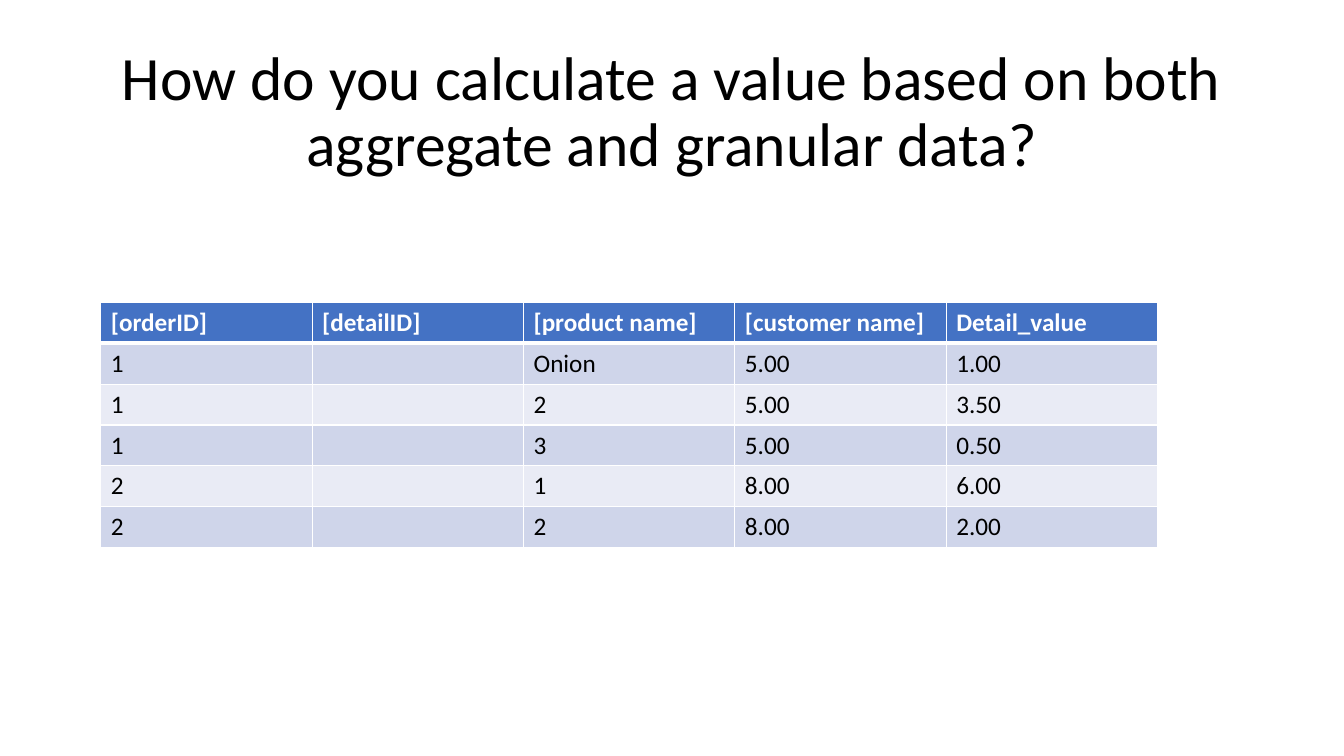
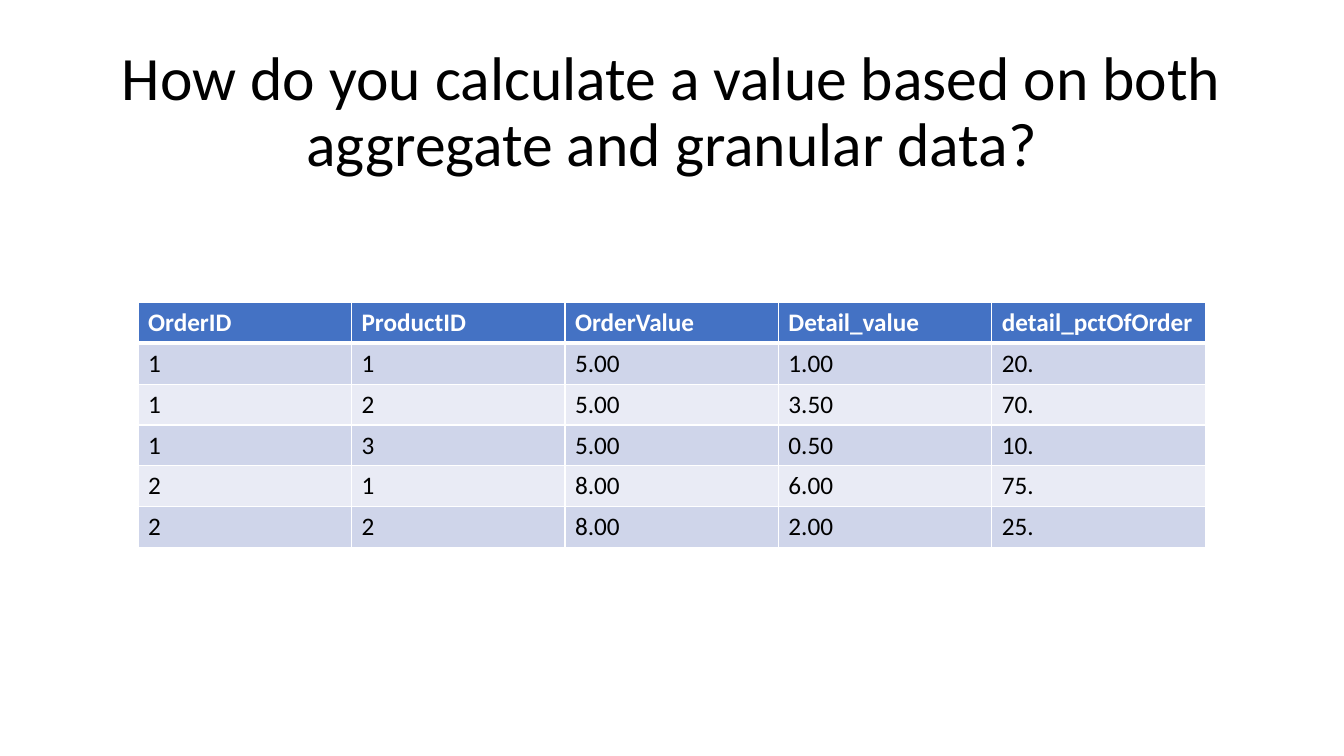
from lxml.etree import SubElement
from pptx import Presentation
from pptx.dml.color import RGBColor as Rgb
from pptx.enum.text import MSO_ANCHOR as Anchor, PP_ALIGN as Align
from pptx.oxml.ns import qn
from pptx.util import Pt

TITLE = "How do you calculate a value based on both aggregate and granular data?"

ORDER_DETAILS = [
    ["[orderID]", "[detailID]", "[product name]", "[customer name]", "Detail_value"],
    ["1", "", "Onion", "5.00", "1.00"],
    ["1", "", "2", "5.00", "3.50"],
    ["1", "", "3", "5.00", "0.50"],
    ["2", "", "1", "8.00", "6.00"],
    ["2", "", "2", "8.00", "2.00"],
]

ORDER_PERCENTAGES = [
    ["OrderID", "ProductID", "OrderValue", "Detail_value", "detail_pctOfOrder"],
    ["1", "1", "5.00", "1.00", "20."],
    ["1", "2", "5.00", "3.50", "70."],
    ["1", "3", "5.00", "0.50", "10."],
    ["2", "1", "8.00", "6.00", "75."],
    ["2", "2", "8.00", "2.00", "25."],
]


class SlideBuilder:
    """Holds the shared style and the slide being filled."""

    FONT = "Calibri"
    TITLE_SIZE = 44
    TABLE_SIZE = 18
    TABLE_TOP = 216
    ROW_HEIGHT = 29.2
    COLORS = {
        "text": "000000",
        "header": "4472C4",
        "header_text": "FFFFFF",
        "band_dark": "CFD5EA",
        "band_light": "E9EBF5",
        "border": "FFFFFF",
    }

    def __init__(self, deck):
        self.deck = deck
        self.slide = None

    def color(self, name):
        return Rgb.from_string(self.COLORS[name])

    def new_slide(self, title):
        self.slide = self.deck.slides.add_slide(self.deck.slide_layouts[6])
        self.title(title)

    def format_text(self, para, size, color, bold=False):
        for span in para.runs:
            span.font.name = self.FONT
            span.font.size = Pt(size)
            span.font.bold = bold
            span.font.color.rgb = self.color(color)

    def title(self, text):
        box = self.slide.shapes.add_textbox(Pt(66), Pt(28.75), Pt(828), Pt(104.4))
        frame = box.text_frame
        frame.word_wrap = True
        frame.vertical_anchor = Anchor.MIDDLE
        frame.text = text
        para = frame.paragraphs[0]
        para.alignment = Align.CENTER
        para.line_spacing = 0.9
        self.format_text(para, self.TITLE_SIZE, "text")

    def table(self, rows, left, column_width):
        column_count = len(rows[0])
        table = self.slide.shapes.add_table(
            len(rows), column_count, Pt(left), Pt(self.TABLE_TOP),
            Pt(column_width * column_count), Pt(self.ROW_HEIGHT * len(rows)),
        ).table
        for column in table.columns:
            column.width = Pt(column_width)
        for row_index, values in enumerate(rows):
            table.rows[row_index].height = Pt(self.ROW_HEIGHT)
            for column_index, value in enumerate(values):
                self.cell(table.cell(row_index, column_index), value, row_index)

    def cell(self, cell, value, row_index):
        is_header = row_index == 0
        self.borders(cell, top=3 if row_index == 1 else 1, bottom=3 if is_header else 1)
        band = "band_dark" if row_index % 2 else "band_light"
        cell.fill.solid()
        cell.fill.fore_color.rgb = self.color("header" if is_header else band)
        cell.text_frame.text = value
        self.format_text(cell.text_frame.paragraphs[0], self.TABLE_SIZE,
                         "header_text" if is_header else "text", bold=is_header)

    def borders(self, cell, top, bottom):
        """Draws the four edges; must run before the cell is filled."""
        properties = cell._tc.get_or_add_tcPr()
        for edge, width in (("L", 1), ("R", 1), ("T", top), ("B", bottom)):
            line = SubElement(properties, qn(f"a:ln{edge}"), w=str(Pt(width)))
            fill = SubElement(line, qn("a:solidFill"))
            SubElement(fill, qn("a:srgbClr"), val=self.COLORS["border"])


def main():
    deck = Presentation()
    deck.slide_width, deck.slide_height = Pt(960), Pt(540)
    builder = SlideBuilder(deck)
    for rows, left, column_width in (
        (ORDER_DETAILS, 72, 151),
        (ORDER_PERCENTAGES, 98.6, 152.5),
    ):
        builder.new_slide(TITLE)
        builder.table(rows, left, column_width)
    deck.save("out.pptx")


if __name__ == "__main__":
    main()
